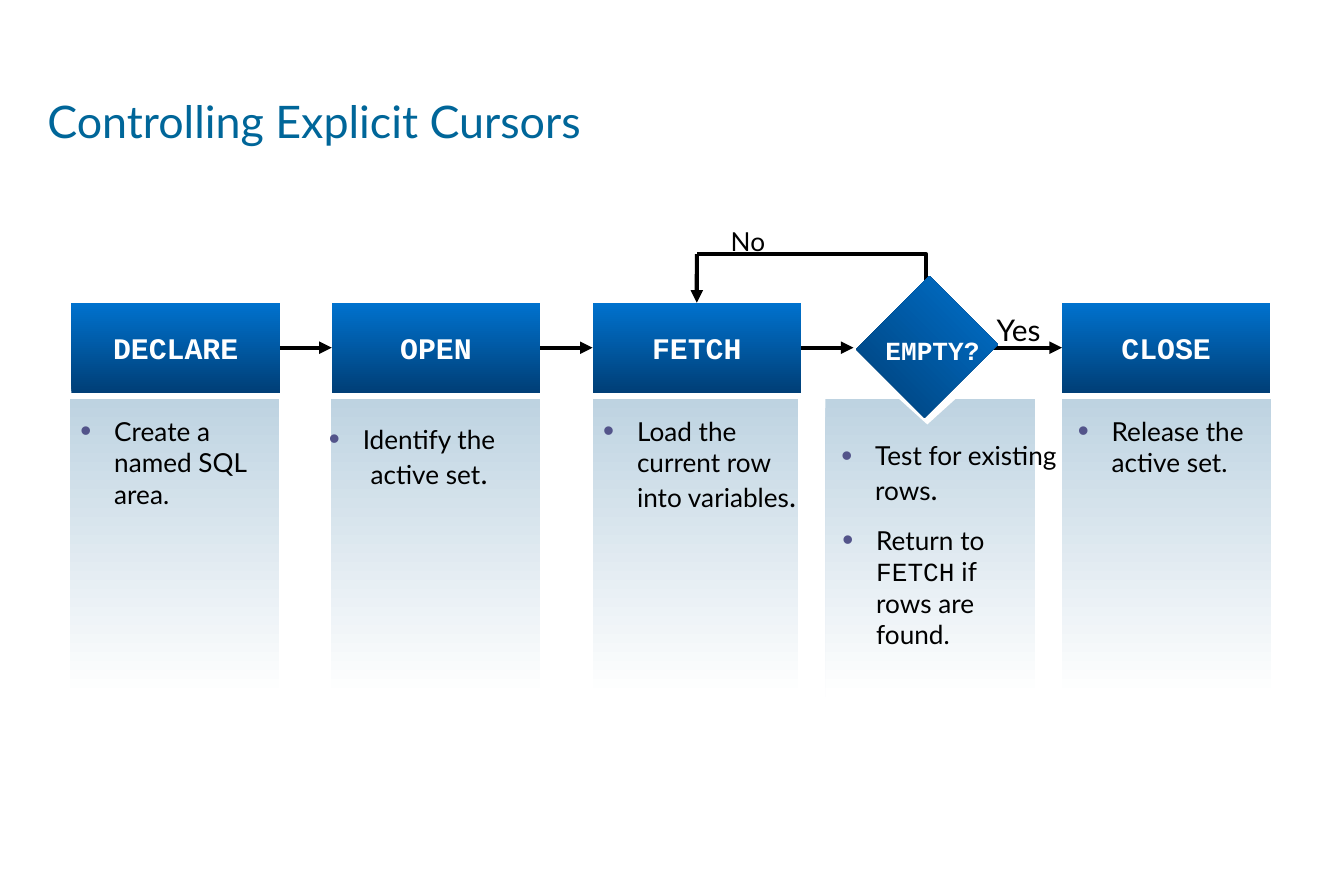
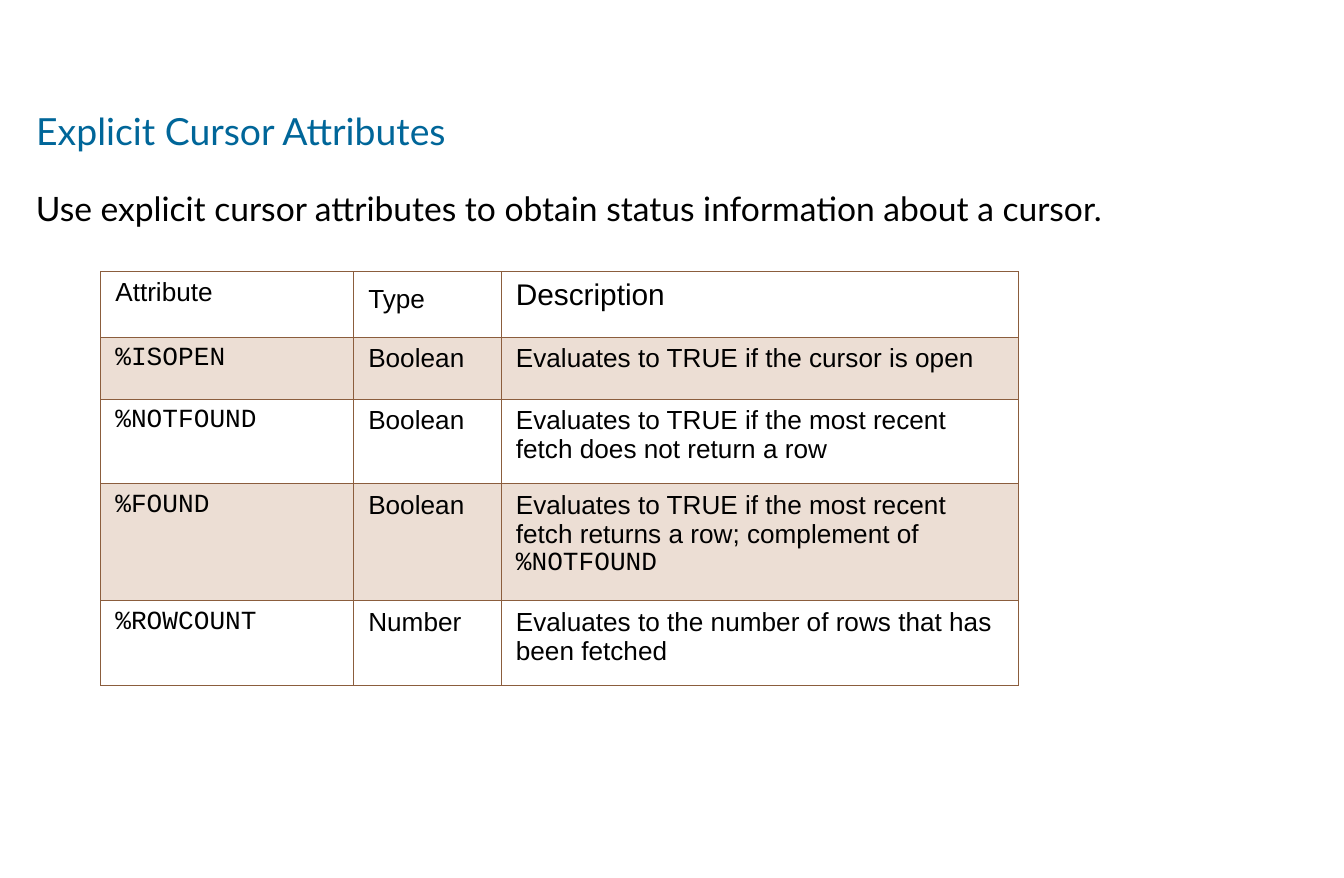
from dataclasses import dataclass
from typing import Optional

from lxml.etree import SubElement
from pptx import Presentation
from pptx.dml.color import RGBColor
from pptx.dml.fill import FillFormat
from pptx.enum.shapes import MSO_CONNECTOR as Link, MSO_SHAPE as Preset
from pptx.enum.text import MSO_ANCHOR as Anchor, MSO_AUTO_SIZE as AutoSize, PP_ALIGN as Align
from pptx.oxml.ns import qn
from pptx.presentation import Presentation as Deck
from pptx.shapes.autoshape import Shape
from pptx.shapes.connector import Connector
from pptx.slide import Slide
from pptx.table import _Cell as Cell
from pptx.text.text import TextFrame, _Paragraph as Paragraph
from pptx.util import Cm, Pt

BLACK, WHITE = "000000", "FFFFFF"
TITLE_BLUE, BULLET_PURPLE = "006699", "53548A"
DEEP_BLUE, BRIGHT_BLUE, PANEL_BLUE = "003F77", "0072CE", "BED3E1"
BORDER_BROWN, BAND_BEIGE = "8B5D3D", "ECDED4"
BODY, MONO, TABLE_FONT = "Lato", "Courier New", "Arial"
TITLE_ONLY = 5
TOP, LEFT, RIGHT = 0, 1, 3


@dataclass(frozen=True)
class Frame:
    left: float
    top: float
    width: float
    height: float

    def lengths(self) -> tuple[Cm, Cm, Cm, Cm]:
        return Cm(self.left), Cm(self.top), Cm(self.width), Cm(self.height)


@dataclass(frozen=True)
class Span:
    text: str
    size: float = 14
    font: str = BODY


@dataclass(frozen=True)
class Note:
    frame: Frame
    spans: tuple[Span, ...]
    before: float = 5.2
    align: Align = Align.LEFT


@dataclass(frozen=True)
class Stage:
    name: str
    header_left: Optional[float]
    panel_left: float
    notes: tuple[Note, ...]
    panel_width: float = 3.96


FULL_STOP = Span(".", 16)
STAGES = (
    Stage("DECLARE", 1.35, 1.32, (
        Note(Frame(1.27, 7.72, 4.29, 1.78), (Span("Create a named SQL area."),)),
    )),
    Stage("OPEN", 6.27, 6.25, (
        Note(Frame(5.72, 7.87, 4.14, 1.4), (Span("Identify the\nactive set"), FULL_STOP),
             6, Align.CENTER),
    )),
    Stage("FETCH", 11.2, 11.2, (
        Note(Frame(11.15, 7.72, 4.19, 2.51),
             (Span("Load the current row into variables"), FULL_STOP), 6),
    ), 3.89),
    Stage("EMPTY?", None, 15.6, (
        Note(Frame(15.65, 8.18, 4.65, 2.16), (Span("Test for existing rows"), FULL_STOP), 6),
        Note(Frame(15.67, 9.78, 3.96, 2.77),
             (Span("Return to "), Span("FETCH", font=MONO), Span(" if rows are found."))),
    )),
    Stage("CLOSE", 20.07, 20.07, (
        Note(Frame(20.12, 7.72, 4.01, 1.4), (Span("Release the active set."),)),
    )),
)

HEADINGS = (
    (Span("Attribute", font=TABLE_FONT),),
    (Span("Type", font=TABLE_FONT), Span(" ", 18, TABLE_FONT)),
    (Span("Description", 16, TABLE_FONT),),
)
ATTRIBUTES = (
    ("%ISOPEN", "Boolean", "Evaluates to TRUE if the cursor is open", ""),
    ("%NOTFOUND", "Boolean",
     "Evaluates to TRUE if the most recent fetch does not return a row", ""),
    ("%FOUND", "Boolean",
     "Evaluates to TRUE if the most recent fetch returns a row; complement of ", "%NOTFOUND"),
    ("%ROWCOUNT", "Number", "Evaluates to the number of rows that has been fetched", ""),
)
COLUMN_WIDTHS = (4.78, 2.79, 9.78)
ROW_HEIGHTS = (1.24, 1.17, 1.6, 2.21, 1.6)


def rgb(value: str) -> RGBColor:
    return RGBColor.from_string(value)


def write(para: Paragraph, text: str, *, size: float = 14, font: str = BODY,
          color: str = BLACK, bold: bool = False) -> None:
    for number, line in enumerate(text.split("\n")):
        if number:
            para.add_line_break()
        span = para.add_run()
        span.text = line
        span.font.size = Pt(size)
        span.font.name = font
        span.font.bold = bold
        span.font.color.rgb = rgb(color)


def write_spans(para: Paragraph, spans: tuple[Span, ...]) -> None:
    for span in spans:
        write(para, span.text, size=span.size, font=span.font)


def add_box(slide: Slide, frame: Frame, wrap: bool = True) -> TextFrame:
    text_frame = slide.shapes.add_textbox(*frame.lengths()).text_frame
    text_frame.word_wrap = wrap
    return text_frame


def add_label(slide: Slide, frame: Frame, text: str, **style) -> None:
    text_frame = add_box(slide, frame, wrap=False)
    text_frame.auto_size = AutoSize.SHAPE_TO_FIT_TEXT
    para = text_frame.paragraphs[0]
    para.alignment = Align.CENTER
    write(para, text, **style)


def add_note(slide: Slide, note: Note) -> None:
    para = add_box(slide, note.frame).paragraphs[0]
    para.alignment = note.align
    para.space_before = Pt(note.before)
    properties = para._p.get_or_add_pPr()
    properties.set("marL", str(Cm(0.64)))
    properties.set("indent", str(Cm(-0.64)))
    bullet_color = SubElement(properties, qn("a:buClr"))
    SubElement(bullet_color, qn("a:srgbClr"), val=BULLET_PURPLE)
    SubElement(properties, qn("a:buSzPct"), val="120000")
    SubElement(properties, qn("a:buFont"), typeface="Arial")
    SubElement(properties, qn("a:buChar"), char="•")
    write_spans(para, note.spans)


def add_plain_shape(slide: Slide, preset: Preset, frame: Frame, rotation: float = 0) -> Shape:
    shape = slide.shapes.add_shape(preset, *frame.lengths())
    shape.rotation = rotation
    shape.shadow.inherit = False
    shape.line.fill.background()
    return shape


def paint_gradient(fill: FillFormat, start: str, end: str, angle: float) -> None:
    fill.gradient()
    fill.gradient_angle = angle
    for stop, color in zip(fill.gradient_stops, (start, end)):
        stop.color.rgb = rgb(color)


def add_header(slide: Slide, stage: Stage) -> Shape:
    header = add_plain_shape(slide, Preset.RECTANGLE, Frame(stage.header_left, 5.72, 3.94, 1.7))
    paint_gradient(header.fill, DEEP_BLUE, BRIGHT_BLUE, 90)
    header.text_frame.word_wrap = False
    header.text_frame.vertical_anchor = Anchor.MIDDLE
    para = header.text_frame.paragraphs[0]
    para.alignment = Align.CENTER
    write(para, stage.name, size=16, font=MONO, color=WHITE, bold=True)
    return header


def add_arrow(slide: Slide, start: tuple[float, float], end: tuple[float, float]) -> Connector:
    arrow = slide.shapes.add_connector(Link.STRAIGHT, *map(Cm, start + end))
    arrow.line.color.rgb = rgb(BLACK)
    arrow.line.width = Pt(2.25)
    properties = arrow.element.spPr
    SubElement(properties.find(qn("a:ln")), qn("a:tailEnd"), type="triangle")
    SubElement(properties, qn("a:effectLst"))
    return arrow


def add_titled_slide(deck: Deck, text: str, frame: Frame, size: float) -> Slide:
    slide = deck.slides.add_slide(deck.slide_layouts[TITLE_ONLY])
    title = slide.shapes.title
    title.left, title.top, title.width, title.height = frame.lengths()
    title.text_frame.auto_size = AutoSize.NONE
    title.text_frame.vertical_anchor = Anchor.MIDDLE
    para = title.text_frame.paragraphs[0]
    para.alignment = Align.LEFT
    write(para, text, size=size, color=TITLE_BLUE)
    return slide


def add_return_path(slide: Slide) -> None:
    builder = slide.shapes.build_freeform(Cm(17.5), Cm(5.38))
    builder.add_line_segments(((Cm(17.5), Cm(4.8)), (Cm(13.17), Cm(4.8))), close=False)
    route = builder.convert_to_shape()
    route.shadow.inherit = False
    route.fill.background()
    route.line.color.rgb = rgb(BLACK)
    route.line.width = Pt(2.25)


def add_decision(slide: Slide) -> None:
    diamond = add_plain_shape(slide, Preset.RECTANGLE, Frame(16.54, 5.64, 1.96, 1.83), 315)
    paint_gradient(diamond.fill, DEEP_BLUE, BRIGHT_BLUE, 45)
    diamond.element.spPr.find(qn("a:gradFill")).set("rotWithShape", "0")
    add_label(slide, Frame(16.48, 6.2, 2.29, 0.84), "EMPTY?",
              font=MONO, color=WHITE, bold=True)


def build_cursor_flow(deck: Deck) -> None:
    slide = add_titled_slide(deck, "Controlling Explicit Cursors",
                             Frame(0.64, 1.09, 16.08, 2.36), 24)
    for stage in STAGES:
        panel = add_plain_shape(slide, Preset.RECTANGLE,
                                Frame(stage.panel_left, 7.54, stage.panel_width, 5.64))
        paint_gradient(panel.fill, PANEL_BLUE, WHITE, 270)
    notch = add_plain_shape(slide, Preset.ISOSCELES_TRIANGLE, Frame(15.9, 6.55, 3.25, 1.47), 180)
    notch.fill.solid()
    notch.fill.fore_color.rgb = rgb(WHITE)
    for stage in STAGES:
        for note in stage.notes:
            add_note(slide, note)
    headers = {stage.name: add_header(slide, stage)
               for stage in STAGES if stage.header_left is not None}

    for source, target in (("DECLARE", "OPEN"), ("OPEN", "FETCH")):
        arrow = add_arrow(slide, (0, 0), (0, 0))
        arrow.begin_connect(headers[source], RIGHT)
        arrow.end_connect(headers[target], LEFT)
    add_arrow(slide, (15, 6.57), (16.13, 6.57)).begin_connect(headers["FETCH"], RIGHT)
    add_arrow(slide, (18.39, 6.57), (20.07, 6.57)).end_connect(headers["CLOSE"], LEFT)
    add_label(slide, Frame(13.54, 4.14, 1.19, 0.84), "No")
    add_return_path(slide)
    add_arrow(slide, (13.17, 4.8), (13.17, 5.72)).end_connect(headers["FETCH"], TOP)
    add_label(slide, Frame(18.54, 5.77, 1.42, 0.94), "Yes", size=16)
    add_decision(slide)


def fill_cell(cell: Cell, spans: tuple[Span, ...], before: float, banded: bool) -> None:
    cell.margin_left = cell.margin_right = Cm(0.28)
    properties = cell._tc.get_or_add_tcPr()
    for side in ("lnL", "lnR", "lnT", "lnB"):
        border = SubElement(properties, qn(f"a:{side}"), w=str(Pt(0.45)))
        paint = SubElement(border, qn("a:solidFill"))
        SubElement(paint, qn("a:srgbClr"), val=BORDER_BROWN)
    if banded:
        cell.fill.solid()
        cell.fill.fore_color.rgb = rgb(BAND_BEIGE)
    else:
        cell.fill.background()
    para = cell.text_frame.paragraphs[0]
    para.space_before = Pt(before)
    write_spans(para, spans)


def build_attribute_table(deck: Deck) -> None:
    slide = add_titled_slide(deck, "Explicit Cursor Attributes",
                             Frame(0.43, 1.52, 13.54, 1.91), 20)
    intro = add_box(slide, Frame(0.43, 3.43, 23.93, 1.02))
    intro.auto_size = AutoSize.SHAPE_TO_FIT_TEXT
    write(intro.paragraphs[0],
          "Use explicit cursor attributes to obtain status information about a cursor.", size=18)

    frame = Frame(1.9, 5.13, sum(COLUMN_WIDTHS), sum(ROW_HEIGHTS))
    table = slide.shapes.add_table(len(ROW_HEIGHTS), len(COLUMN_WIDTHS), *frame.lengths()).table
    table.first_row = table.horz_banding = False
    for column, width in zip(table.columns, COLUMN_WIDTHS):
        column.width = Cm(width)
    for row, height in zip(table.rows, ROW_HEIGHTS):
        row.height = Cm(height)

    for column, (spans, before) in enumerate(zip(HEADINGS, (3.5, 4.5, 4))):
        fill_cell(table.cell(0, column), spans, before, banded=False)
    for row, (name, kind, description, reference) in enumerate(ATTRIBUTES, start=1):
        details = (Span(description, font=TABLE_FONT),)
        if reference:
            details += (Span(reference, font=MONO),)
        cells = ((Span(name, font=MONO),), (Span(kind, font=TABLE_FONT),), details)
        for column, (spans, before) in enumerate(zip(cells, (3.5, 3.5, 10.5))):
            fill_cell(table.cell(row, column), spans, before, banded=row % 2 == 1)


def main() -> None:
    deck = Presentation()
    deck.slide_width, deck.slide_height = Cm(25.4), Cm(16.59)
    build_cursor_flow(deck)
    build_attribute_table(deck)
    deck.save("out.pptx")


if __name__ == "__main__":
    main()
